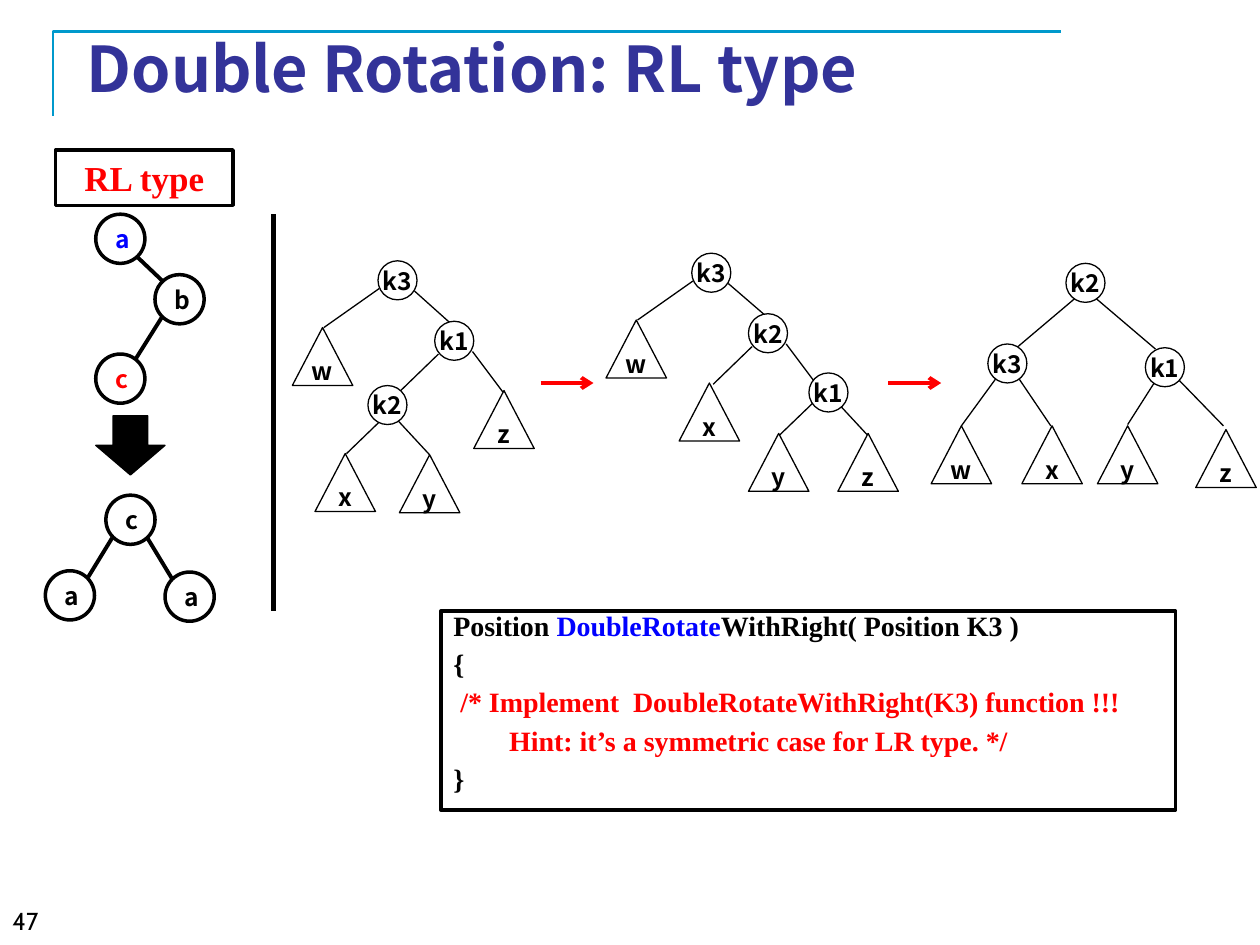
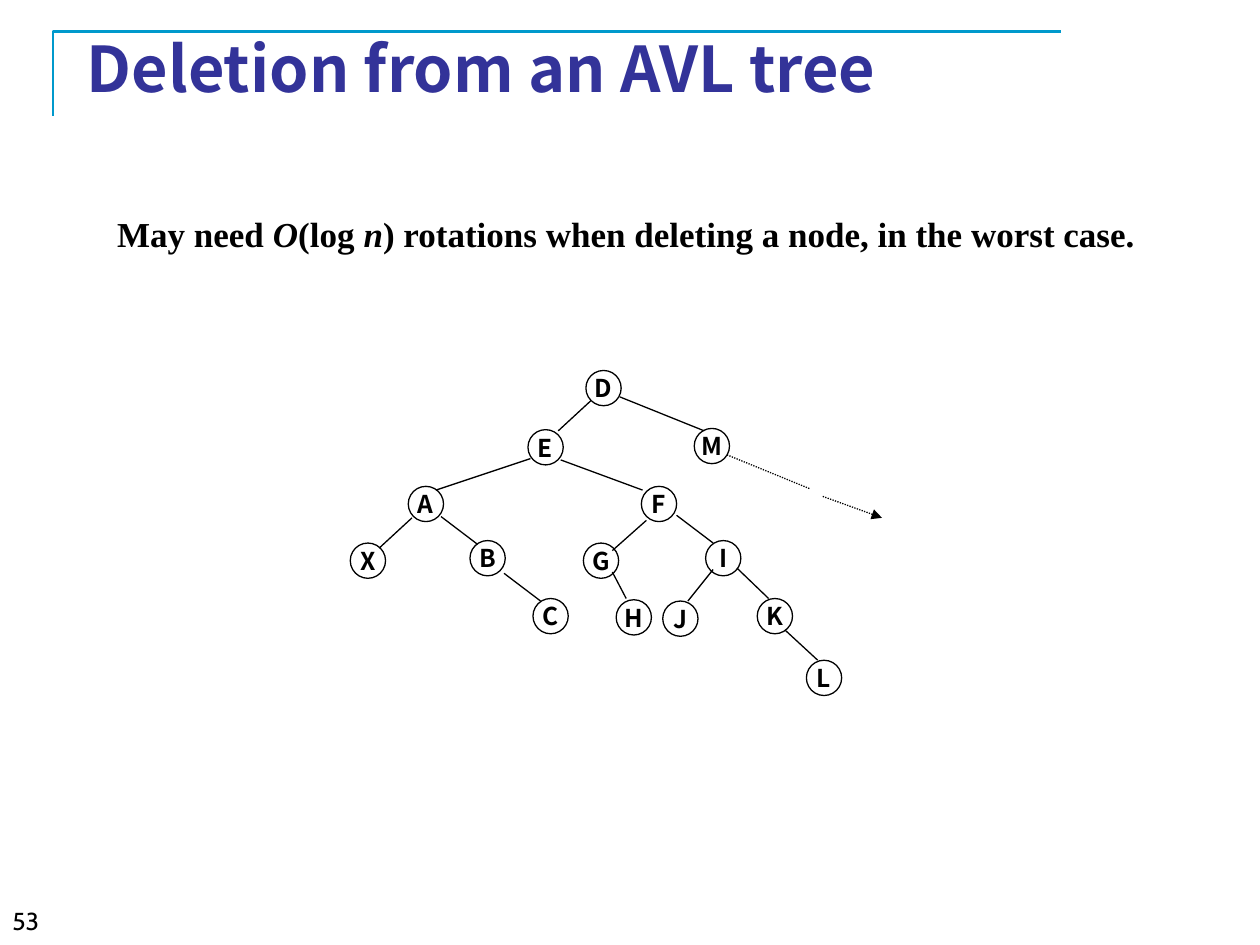
from pptx import Presentation
from pptx.dml.color import RGBColor
from pptx.enum.dml import MSO_LINE
from pptx.enum.shapes import MSO_CONNECTOR, MSO_SHAPE
from pptx.enum.text import MSO_ANCHOR, PP_ALIGN
from pptx.oxml.ns import qn
from pptx.util import Inches, Pt
from lxml import etree

STRAIGHT = MSO_CONNECTOR.STRAIGHT
OVAL, TRIANGLE = MSO_SHAPE.OVAL, MSO_SHAPE.ISOSCELES_TRIANGLE
RECTANGLE, RIGHT_ARROW = MSO_SHAPE.RECTANGLE, MSO_SHAPE.RIGHT_ARROW
LEFT, CENTER, JUSTIFY = PP_ALIGN.LEFT, PP_ALIGN.CENTER, PP_ALIGN.JUSTIFY
TOP, MIDDLE = MSO_ANCHOR.TOP, MSO_ANCHOR.MIDDLE
DOTTED = MSO_LINE.ROUND_DOT

BLACK = RGBColor(0x00, 0x00, 0x00)
WHITE = RGBColor(0xFF, 0xFF, 0xFF)
RED = RGBColor(0xFF, 0x00, 0x00)
BLUE = RGBColor(0x00, 0x00, 0xFF)
TITLE_BLUE = RGBColor(0x33, 0x33, 0x99)
FRAME_BLUE = RGBColor(0x00, 0x99, 0xCC)

SANS, SERIF, NUMBER_FONT = "Noto Sans CJK KR", "Times New Roman", "Cabin"
THIN, OUTLINE, BRANCH, DIVIDER = 0.75, 2, 2.25, 3
KEY_SIZE, SUBTREE_SIZE, STEP_SIZE, LETTER_SIZE = 0.31, (0.48, 0.46), 0.39, 0.28

ROTATION_KEYS = [
    ("k3", 3, 2.07), ("k1", 3.45, 2.55), ("k2", 2.92, 3.06),
    ("k3", 5.49, 2.01), ("k2", 5.94, 2.49), ("k1", 6.42, 2.96),
    ("k2", 8.46, 2.09), ("k3", 7.84, 2.73), ("k1", 9.09, 2.76),
]
ROTATION_SUBTREES = [
    ("w", 2.32, 2.6), ("x", 2.5, 3.6), ("y", 3.17, 3.61), ("z", 3.76, 3.1),
    ("w", 4.81, 2.54), ("x", 5.39, 3.04), ("y", 5.94, 3.44), ("z", 6.65, 3.44),
    ("w", 7.39, 3.38), ("x", 8.11, 3.38), ("y", 8.71, 3.38), ("z", 9.49, 3.41),
]
ROTATION_EDGES = [
    (3.01, 2.29, 2.57, 2.6), (3.29, 2.31, 3.58, 2.57), (3.48, 2.81, 3.17, 3.11),
    (3.75, 2.79, 3.99, 3.11), (3.02, 3.34, 2.75, 3.6), (3.16, 3.34, 3.41, 3.61),
    (5.5, 2.23, 5.06, 2.54), (5.78, 2.25, 6.07, 2.5), (5.97, 2.75, 5.66, 3.05),
    (6.24, 2.73, 6.48, 3.05), (6.45, 3.2, 6.18, 3.46), (6.65, 3.2, 6.9, 3.47),
    (8.53, 2.37, 8.08, 2.75), (8.7, 2.37, 9.17, 2.77), (7.9, 3.01, 7.63, 3.38),
    (8.09, 3.01, 8.34, 3.38), (9.16, 3.04, 8.95, 3.37), (9.36, 3.02, 9.71, 3.38),
]
STEP_NODES = [
    ("a", 0.76, 1.7, BLUE), ("b", 1.23, 2.18, BLACK), ("c", 0.76, 2.81, RED),
    ("c", 0.84, 3.93, BLACK), ("a", 0.36, 4.53, BLACK), ("a", 1.31, 4.54, BLACK),
]
STEP_EDGES = [
    (1.09, 2.04, 1.29, 2.23), (1.29, 2.51, 1.07, 2.86),
    (0.89, 4.27, 0.7, 4.58), (1.17, 4.27, 1.37, 4.6),
]
CODE_LINES = [
    [("Position ", BLACK), ("DoubleRotate", BLUE), ("WithRight( Position K3 )", BLACK)],
    [("{", BLACK)],
    [(" /* Implement  DoubleRotateWithRight(K3) function !!!", RED)],
    [("        Hint: it’s a symmetric case for LR type. */", RED)],
    [("}", BLACK)],
]
AVL_NODES = [
    ("D", 4.65, 2.94), ("E", 4.19, 3.41), ("M", 5.51, 3.4), ("A", 3.24, 3.86),
    ("F", 5.09, 3.86), ("X", 2.78, 4.31), ("B", 3.73, 4.29), ("G", 4.63, 4.31),
    ("I", 5.6, 4.29), ("C", 4.23, 4.75), ("H", 4.89, 4.76), ("J", 5.26, 4.77),
    ("K", 6.01, 4.75), ("L", 6.4, 5.24),
]
AVL_EDGES = [
    (4.69, 3.18, 4.43, 3.42), (4.92, 3.15, 5.59, 3.42), (4.21, 3.64, 3.46, 3.89),
    (4.45, 3.65, 5.1, 3.89), (3.27, 4.11, 3.01, 4.35), (3.5, 4.1, 3.79, 4.32),
    (5.13, 4.13, 4.86, 4.37), (5.37, 4.09, 5.66, 4.31), (4, 4.55, 4.29, 4.77),
    (4.86, 4.54, 4.97, 4.75), (5.66, 4.52, 5.46, 4.77), (5.85, 4.51, 6.1, 4.75),
    (6.23, 5, 6.49, 5.24),
]


def format_run(run, font, size, color, bold=True, italic=False):
    """Give a run its typeface, size, colour and style."""
    run.font.name = font
    run.font.size = Pt(size)
    run.font.color.rgb = color
    run.font.bold = bold
    run.font.italic = italic


def write_text(shape, text, font, size, color, align=LEFT, anchor=TOP, wrap=True, bold=True):
    """Fill a shape with one paragraph in a single style."""
    frame = shape.text_frame
    frame.text = text
    frame.word_wrap = wrap
    frame.vertical_anchor = anchor
    paragraph = frame.paragraphs[0]
    paragraph.alignment = align
    format_run(paragraph.runs[0], font, size, color, bold)


def add_text_box(slide, left, top, width, height):
    """Add an empty text box."""
    return slide.shapes.add_textbox(Inches(left), Inches(top), Inches(width), Inches(height))


def add_outlined_shape(slide, kind, left, top, width, height, weight=THIN, fill=WHITE):
    """Add a preset shape with a black outline, unfilled when fill is None."""
    shape = slide.shapes.add_shape(kind, Inches(left), Inches(top), Inches(width), Inches(height))
    shape.shadow.inherit = False
    if fill is None:
        shape.fill.background()
    else:
        shape.fill.solid()
        shape.fill.fore_color.rgb = fill
    shape.line.color.rgb = BLACK
    shape.line.width = Pt(weight)
    return shape


def add_node(slide, kind, label, left, top, width, height,
             weight=THIN, fill=WHITE, color=BLACK, wrap=False):
    """Add a labelled tree node or subtree."""
    shape = add_outlined_shape(slide, kind, left, top, width, height, weight, fill)
    write_text(shape, label, SANS, 14, color, CENTER, MIDDLE, wrap)


def add_line(slide, start_x, start_y, end_x, end_y, weight=THIN, color=BLACK, dash=None, head=None):
    """Add a straight line, optionally dashed and with an arrowhead at its end."""
    line = slide.shapes.add_connector(
        STRAIGHT, Inches(start_x), Inches(start_y), Inches(end_x), Inches(end_y))
    line.line.color.rgb = color
    line.line.width = Pt(weight)
    if dash is not None:
        line.line.dash_style = dash
    properties = line._element.spPr
    if head:
        etree.SubElement(properties.find(qn("a:ln")), qn("a:tailEnd"), type=head)
    etree.SubElement(properties, qn("a:effectLst"))


def add_titled_slide(presentation, title, number):
    """Add a slide with the corner frame, title and page number."""
    slide = presentation.slides.add_slide(presentation.slide_layouts[6])
    builder = slide.shapes.build_freeform(Inches(0.42), Inches(0.92))
    builder.add_line_segments(
        [(Inches(0.42), Inches(0.25)), (Inches(8.42), Inches(0.25))], close=False)
    frame = builder.convert_to_shape()
    frame.shadow.inherit = False
    frame.fill.background()
    frame.line.color.rgb = FRAME_BLUE
    frame.line.width = Pt(1.5)
    write_text(add_text_box(slide, 0.59, 0.3, 8.5, 0.47), title, SANS, 36, TITLE_BLUE,
               JUSTIFY, MIDDLE)
    write_text(add_text_box(slide, 0, 7.14, 3.12, 0.36), str(number), NUMBER_FONT, 14, BLACK,
               bold=False)
    return slide


def add_code_box(slide):
    """Add the bordered box with the function skeleton."""
    box = add_outlined_shape(slide, RECTANGLE, 3.5, 4.85, 5.83, 1.58, OUTLINE)
    frame = box.text_frame
    frame.word_wrap = True
    frame.vertical_anchor = TOP
    for index, pieces in enumerate(CODE_LINES):
        paragraph = frame.add_paragraph() if index else frame.paragraphs[0]
        paragraph.alignment = JUSTIFY
        paragraph.line_spacing = 0.7
        if index:
            paragraph.space_before = Pt(8.5)
        for text, color in pieces:
            run = paragraph.add_run()
            run.text = text
            format_run(run, SERIF, 16, color)


def add_rotation_steps(slide):
    """Add the left column that sums up the RL type."""
    label = add_outlined_shape(slide, RECTANGLE, 0.44, 1.19, 1.41, 0.44, OUTLINE)
    write_text(label, "RL type", SERIF, 20, RED, CENTER)
    for edge in STEP_EDGES:
        add_line(slide, *edge, weight=BRANCH)
    for name, left, top, color in STEP_NODES:
        add_node(slide, OVAL, name, left, top, STEP_SIZE, STEP_SIZE,
                 weight=OUTLINE, color=color, wrap=True)
    down_arrow = add_outlined_shape(slide, RIGHT_ARROW, 0.8, 3.26, 0.47, 0.55, fill=BLACK)
    down_arrow.rotation = 90
    add_line(slide, 2.17, 1.7, 2.17, 4.85, weight=DIVIDER)


def add_rotation_slide(presentation):
    """Build the slide on double rotation."""
    slide = add_titled_slide(presentation, "Double Rotation: RL type", 47)
    for edge in ROTATION_EDGES:
        add_line(slide, *edge)
    for name, left, top in ROTATION_SUBTREES:
        add_node(slide, TRIANGLE, name, left, top, *SUBTREE_SIZE)
    for name, left, top in ROTATION_KEYS:
        add_node(slide, OVAL, name, left, top, KEY_SIZE, KEY_SIZE)
    for start in (4.29, 7.05):
        add_line(slide, start, 3.04, start + 0.42, 3.04, BRANCH, RED, head="arrow")
    add_rotation_steps(slide)
    add_code_box(slide)


def add_deletion_slide(presentation):
    """Build the slide on deletion from an AVL tree."""
    slide = add_titled_slide(presentation, "Deletion from an AVL tree", 53)
    frame = add_text_box(slide, 0.61, 1.57, 8.72, 0.5).text_frame
    frame.word_wrap = True
    paragraph = frame.paragraphs[0]
    paragraph.alignment = CENTER
    paragraph.line_spacing = 1.2
    pieces = ["May need ", "O", "(log ", "n", ") rotations when deleting a node, in the worst case."]
    for text in pieces:
        run = paragraph.add_run()
        run.text = text
        format_run(run, SERIF, 20, BLACK, italic=text in ("O", "n"))
    for name, left, top in AVL_NODES:
        add_node(slide, OVAL, name, left, top, LETTER_SIZE, LETTER_SIZE, fill=None)
    for edge in AVL_EDGES:
        add_line(slide, *edge)
    add_line(slide, 5.77, 3.61, 6.43, 3.88, dash=DOTTED)
    add_line(slide, 6.53, 3.94, 7, 4.11, dash=DOTTED, head="triangle")


def main():
    """Create the presentation and save it."""
    presentation = Presentation()
    presentation.slide_width = Inches(10)
    presentation.slide_height = Inches(7.5)
    add_rotation_slide(presentation)
    add_deletion_slide(presentation)
    presentation.save("out.pptx")


if __name__ == "__main__":
    main()
